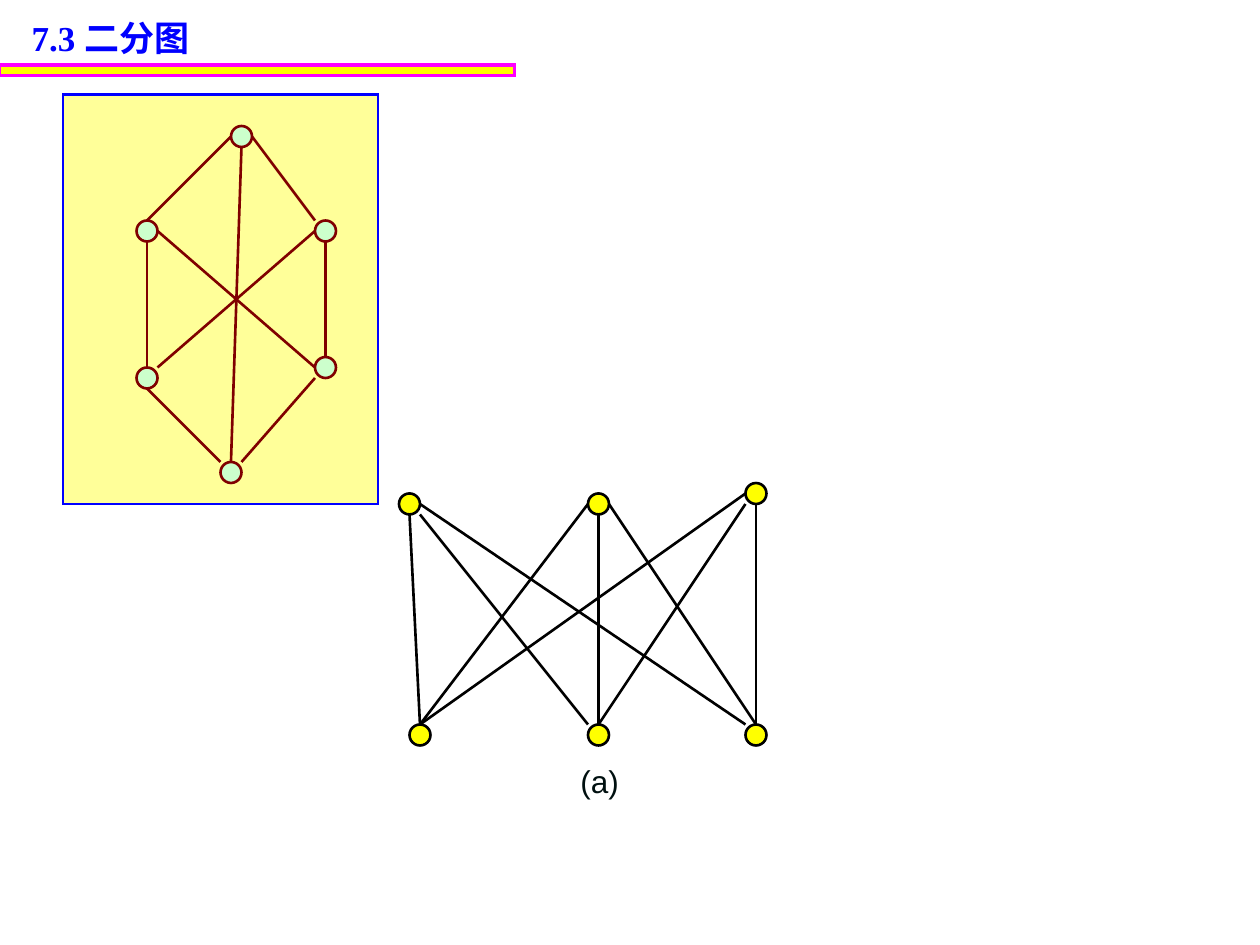
from dataclasses import dataclass

from pptx import Presentation
from pptx import util as u
from pptx.dml.color import RGBColor
from pptx.enum import shapes as s, text as t
from pptx.oxml.ns import qn
from lxml import etree

PX = 7620  # 120 px to the inch
RAD = 10   # node radius in px
HEX = {
    "blue": "0000FF", "pink": "FF00FF", "gold": "FFFF00", "cream": "FFFF99",
    "mint": "CCFFCC", "wine": "800000", "black": "000000", "ink": "001010",
}
# Points on the box around a node, as steps from its centre
SIDES = {
    "n": (0, -1), "s": (0, 1), "w": (-1, 0), "e": (1, 0),
    "nw": (-1, -1), "ne": (1, -1), "sw": (-1, 1), "se": (1, 1),
}


@dataclass
class Graph:
    fill: str
    line: str
    nodes: dict[str, tuple[int, int]]
    edges: list[str]  # "node.side node.side"


HEXAGON = Graph(
    "mint", "wine",
    {"top": (230, 130), "ul": (140, 220), "ur": (310, 220),
     "ll": (140, 360), "lr": (310, 350), "low": (220, 450)},
    ["top.s low.n", "top.w ul.n", "top.e ur.nw", "ul.s ll.n", "ll.s low.nw",
     "low.ne lr.sw", "ur.s lr.n", "ul.e lr.w", "ll.ne ur.w"],
)
PARTS = Graph(
    "gold", "black",
    {"a": (390, 480), "b": (570, 480), "c": (720, 470),
     "d": (400, 700), "e": (570, 700), "f": (720, 700)},
    ["a.s d.n", "a.se e.nw", "a.e f.nw", "b.w d.n", "b.s e.n", "b.e f.n",
     "d.n c.w", "e.n c.sw", "f.n c.s"],
)


def color(name: str) -> RGBColor:
    return RGBColor.from_string(HEX[name])


def emu(*vals: int) -> list[int]:
    return [val * PX for val in vals]


def style(obj, **vals) -> None:
    for key, val in vals.items():
        setattr(obj, key, val)


def stroke(item, name: str, width: float) -> None:
    item.line.color.rgb = color(name)
    item.line.width = u.Pt(width)
    # Sharp corners
    etree.SubElement(item._element.spPr.find(qn("a:ln")), qn("a:miter"), lim="800000")


def draw_shape(host, kind, box: tuple, fill: str, line: str, width: float = 1.5) -> None:
    item = host.add_shape(kind, *emu(*box))
    item.shadow.inherit = False
    item.fill.solid()
    item.fill.fore_color.rgb = color(fill)
    stroke(item, line, width)


def find(graph: Graph, end: str) -> tuple[int, int]:
    node, side = end.split(".")
    (x, y), (dx, dy) = graph.nodes[node], SIDES[side]
    return x + dx * RAD, y + dy * RAD


def draw_graph(host, graph: Graph):
    group = host.add_group_shape().shapes
    for x, y in graph.nodes.values():
        box = (x - RAD, y - RAD, 2 * RAD, 2 * RAD)
        draw_shape(group, s.MSO_SHAPE.OVAL, box, graph.fill, graph.line)
    for edge in graph.edges:
        start, stop = edge.split()
        line = group.add_connector(
            s.MSO_CONNECTOR.STRAIGHT, *emu(*find(graph, start), *find(graph, stop)))
        stroke(line, graph.line, 1.5)
        etree.SubElement(line._element.spPr, qn("a:effectLst"))
    return group


def write(para, words: str, tint: str, **font) -> None:
    run = para.add_run()
    run.text = words
    run.font.color.rgb = color(tint)
    style(run.font, **font)


def main() -> None:
    deck = Presentation()
    style(deck, slide_width=1200 * PX, slide_height=900 * PX)
    slide = deck.slides.add_slide(deck.slide_layouts[5])
    host = slide.shapes

    # Title
    title = host.title
    style(title, **dict(zip(("left", "top", "width", "height"), emu(18, 10, 322, 52))))
    style(title.text_frame, word_wrap=True, vertical_anchor=t.MSO_ANCHOR.TOP,
          auto_size=t.MSO_AUTO_SIZE.SHAPE_TO_FIT_TEXT)
    para = title.text_frame.paragraphs[0]
    para.alignment = t.PP_ALIGN.LEFT
    write(para, "7.3 二分图", "blue", name="Times New Roman", size=u.Pt(20), bold=True)

    # Rule under the title and panel behind the first graph
    draw_shape(host, s.MSO_SHAPE.RECTANGLE, (0, 62, 490, 10), "gold", "pink", 1.75)
    draw_shape(host, s.MSO_SHAPE.RECTANGLE, (60, 90, 300, 390), "cream", "blue")

    # Graphs, the second with its caption
    draw_graph(host, HEXAGON)
    group = draw_graph(host, PARTS)
    label = group.add_textbox(*emu(541, 720, 64, 48)).text_frame
    style(label, word_wrap=False, auto_size=t.MSO_AUTO_SIZE.SHAPE_TO_FIT_TEXT)
    write(label.paragraphs[0], "(a)", "ink", name="Arial", size=u.Pt(18))

    deck.save("out.pptx")


if __name__ == "__main__":
    main()
